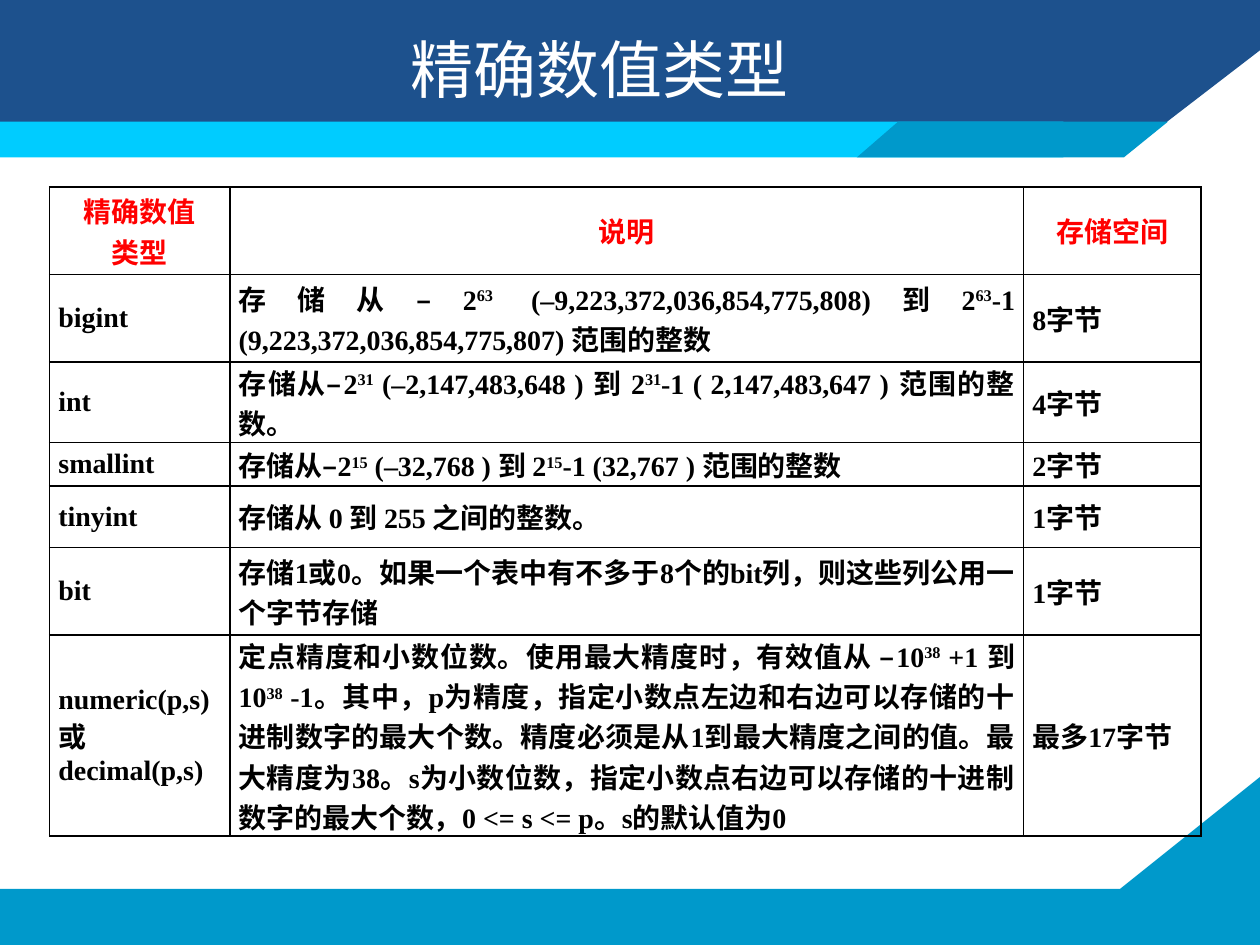
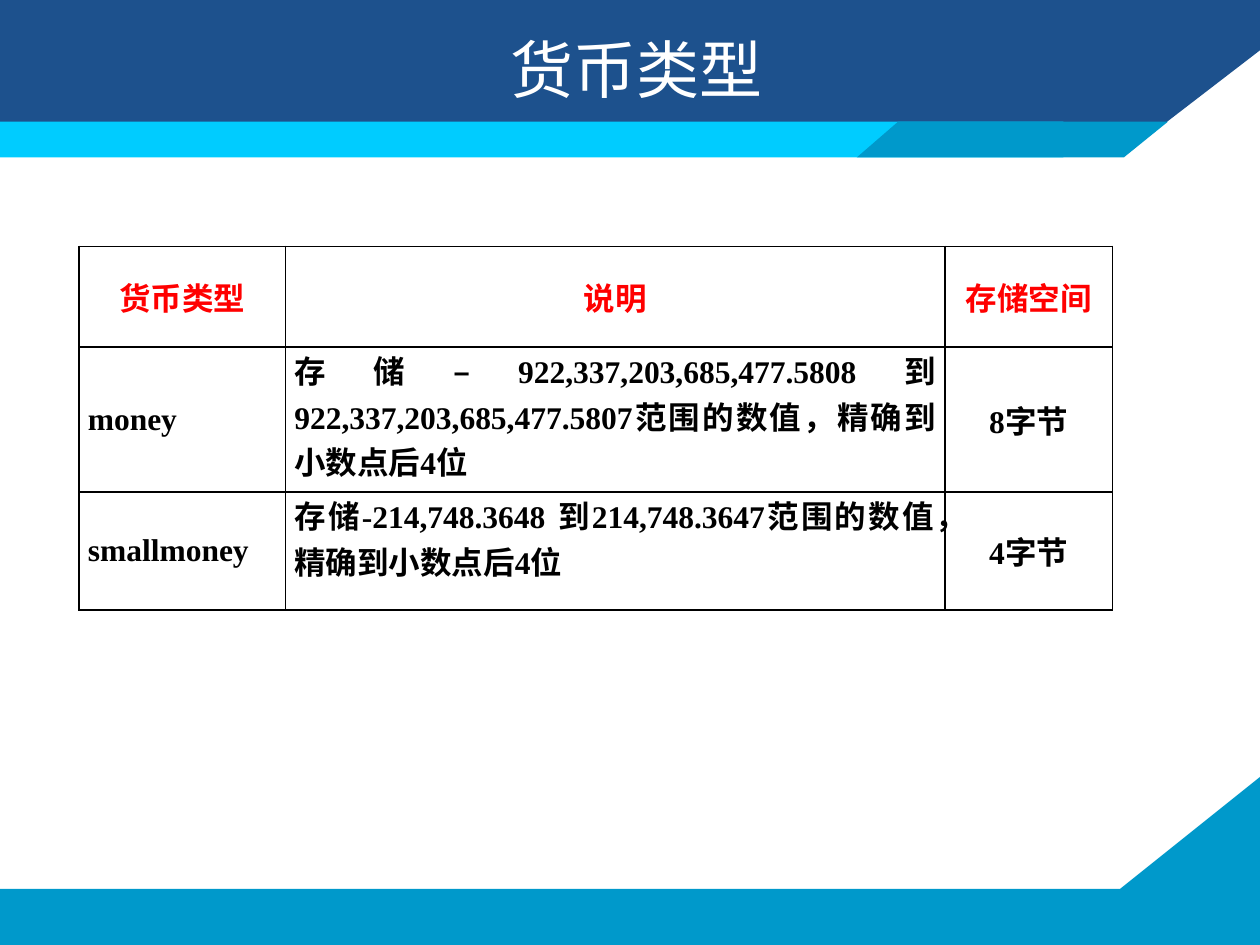
"""Build two slides that tabulate exact numeric and money data types."""
from lxml.etree import SubElement
from pptx import Presentation
from pptx.dml.color import RGBColor
from pptx.enum.shapes import MSO_SHAPE
from pptx.enum.text import MSO_ANCHOR, PP_ALIGN
from pptx.oxml.ns import qn
from pptx.util import Pt

COLOURS = {
    "navy": "1D518D",
    "cyan": "00CCFF",
    "blue": "0099CB",
    "white": "FFFFFF",
    "red": "FF0000",
    "black": "000000",
}
CJK_FONT = "Noto Sans CJK SC"
LATIN_FONT = "Times New Roman"
HEADER_BOX = (0, 0, 720, 90)
FOOTER_BOX = (0, 444, 720, 96)
CELL_FORMAT = {
    "margin_left": Pt(5),
    "margin_right": Pt(5),
    "margin_top": 0,
    "margin_bottom": 0,
}
TITLE_FORMAT = {
    "word_wrap": True,
    "vertical_anchor": MSO_ANCHOR.MIDDLE,
}

NUMERIC_ROWS = [
    ["精确数值\n类型", "说明", "存储空间"],
    ["bigint",
     "存储从–2^63^ (–9,223,372,036,854,775,808)到2^63^-1 (9,223,372,036,854,775,807) 范围的整数",
     "8字节"],
    ["int",
     "存储从–2^31^ (–2,147,483,648 ) 到 2^31^-1 ( 2,147,483,647 ) 范围的整数。",
     "4字节"],
    ["smallint", "存储从–2^15^ (–32,768 ) 到 2^15^-1 (32,767 ) 范围的整数", "2字节"],
    ["tinyint", "存储从 0 到 255 之间的整数。", "1字节"],
    ["bit", "存储1或0。如果一个表中有不多于8个的bit列，则这些列公用一个字节存储", "1字节"],
    ["numeric(p,s)\n或decimal(p,s)",
     "定点精度和小数位数。使用最大精度时，有效值从 –10^38^ +1 到 10^38^ -1。"
     "其中，p为精度，指定小数点左边和右边可以存储的十进制数字的最大个数。"
     "精度必须是从1到最大精度之间的值。最大精度为38。"
     "s为小数位数，指定小数点右边可以存储的十进制数字的最大个数，"
     "0 <= s <= p。s的默认值为0",
     "最多17字节"],
]
MONEY_ROWS = [
    ["货币类型", "说明", "存储空间"],
    ["money",
     "存储–922,337,203,685,477.5808到922,337,203,685,477.5807范围的数值，精确到小数点后4位",
     "8字节"],
    ["smallmoney",
     "存储-214,748.3648 到214,748.3647范围的数值，精确到小数点后4位",
     "4字节"],
]
SLIDES = [
    {
        "title": "精确数值类型",
        "title_box": (30.2, 12.2, 625, 54),
        "table_box": (28.4, 106.9, 658, 371),
        "columns": [103, 453.6, 101.4],
        "heights": [50, 50, 46, 25, 35, 50, 115],
        "rows": NUMERIC_ROWS,
        "size": 16,
        "text_anchor": MSO_ANCHOR.MIDDLE,
        "space_align": PP_ALIGN.JUSTIFY,
    },
    {
        "title": "货币类型",
        "title_box": (58.3, 12.2, 611.3, 54),
        "table_box": (45.2, 140.7, 590.5, 208),
        "columns": [118, 376.7, 95.8],
        "heights": [57.6, 82.8, 67.6],
        "rows": MONEY_ROWS,
        "size": 18,
        "text_anchor": MSO_ANCHOR.TOP,
        "space_align": PP_ALIGN.CENTER,
    },
]


def apply(target, values):
    """Set every named attribute on the target."""
    for name, value in values.items():
        setattr(target, name, value)


def paint(shape, colour):
    """Give a shape a flat fill with neither outline nor shadow."""
    shape.fill.solid()
    shape.fill.fore_color.rgb = RGBColor.from_string(COLOURS[colour])
    shape.line.fill.background()
    shape.shadow.inherit = False


def add_outline(page, box, points, colour):
    """Draw a closed polygon whose points are relative to the box."""
    left, top = box[:2]
    corners = [(Pt(left + x), Pt(top + y)) for x, y in points]
    builder = page.shapes.build_freeform(*corners[0], scale=1.0)
    builder.add_line_segments(corners[1:], close=True)
    paint(builder.convert_to_shape(), colour)


def add_span(para, text, font_name, size, colour, bold=False, raised=False):
    """Add one run of text with its Latin and East Asian fonts."""
    span = para.add_run()
    span.text = text
    apply(span.font, {"name": font_name, "size": Pt(size), "bold": bold})
    span.font.color.rgb = RGBColor.from_string(COLOURS[colour])
    properties = span.font._element
    SubElement(properties, qn("a:ea")).set("typeface", CJK_FONT)
    if raised:
        properties.set("baseline", "30000")


def add_header(page, box):
    """Draw the navy header and the two-coloured band beneath it."""
    left, top, width, height = box
    add_outline(page, box, [(0, 0), (width, 0), (width, 28.8),
                            (642.2, height - 1.4), (0, height - 0.7)], "navy")
    band_top = height - 20.4
    band = page.shapes.add_shape(MSO_SHAPE.RECTANGLE, Pt(left), Pt(top + band_top),
                                 Pt(607.7), Pt(height - band_top))
    paint(band, "cyan")
    add_outline(page, box, [(489.6, height), (642.2, height),
                            (667.4, band_top), (513.2, band_top)], "blue")


def add_footer(page, box):
    """Draw the footer band with its rising right corner."""
    width, height = box[2:]
    add_outline(page, box, [(0, 64), (640, 64), (width, 0),
                            (width, height), (0, height)], "blue")


def add_title(page, box, text):
    """Place the white centred title."""
    frame = page.shapes.add_textbox(*map(Pt, box)).text_frame
    apply(frame, TITLE_FORMAT)
    para = frame.paragraphs[0]
    para.alignment = PP_ALIGN.CENTER
    add_span(para, text, CJK_FONT, 36, "white")


def add_borders(cell):
    """Rule all four sides of a cell in black."""
    properties = cell._tc.get_or_add_tcPr()
    for side in ("L", "R", "T", "B"):
        line = SubElement(properties, qn(f"a:ln{side}"), w=str(Pt(1)))
        fill = SubElement(line, qn("a:solidFill"))
        SubElement(fill, qn("a:srgbClr"), val=COLOURS["black"])


def fill_cell(cell, text, size, colour, align, anchor):
    """Write a cell, raising the text between carets."""
    apply(cell, CELL_FORMAT)
    cell.vertical_anchor = anchor
    add_borders(cell)
    cell.fill.background()
    for index, line in enumerate(text.split("\n")):
        frame = cell.text_frame
        para = frame.add_paragraph() if index else frame.paragraphs[0]
        para.alignment = align
        for part, words in enumerate(line.split("^")):
            add_span(para, words, LATIN_FONT, size, colour, True, part % 2 == 1)


def add_type_table(page, box, content):
    """Build the table of types, descriptions and storage sizes."""
    rows = content["rows"]
    table = page.shapes.add_table(len(rows), len(rows[0]), *map(Pt, box)).table
    apply(table, {"first_row": False, "horz_banding": False})
    for column, width in zip(table.columns, content["columns"]):
        column.width = Pt(width)
    for row, height in zip(table.rows, content["heights"]):
        row.height = Pt(height)
    aligns = [PP_ALIGN.JUSTIFY, PP_ALIGN.JUSTIFY, content["space_align"]]
    anchors = [MSO_ANCHOR.MIDDLE, content["text_anchor"], MSO_ANCHOR.MIDDLE]
    for row_index, texts in enumerate(rows):
        for column_index, text in enumerate(texts):
            if row_index == 0:
                style = ("red", PP_ALIGN.CENTER, MSO_ANCHOR.MIDDLE)
            else:
                style = ("black", aligns[column_index], anchors[column_index])
            fill_cell(table.cell(row_index, column_index), text, content["size"], *style)


def add_type_slide(deck, content):
    """Compose one slide from the shared bands, a title and a table."""
    page = deck.slides.add_slide(deck.slide_layouts[6])
    add_footer(page, FOOTER_BOX)
    add_header(page, HEADER_BOX)
    add_title(page, content["title_box"], content["title"])
    add_type_table(page, content["table_box"], content)


def main():
    """Create the deck and save it."""
    deck = Presentation()
    apply(deck, {"slide_width": Pt(720), "slide_height": Pt(540)})
    for content in SLIDES:
        add_type_slide(deck, content)
    deck.save("out.pptx")


if __name__ == "__main__":
    main()
